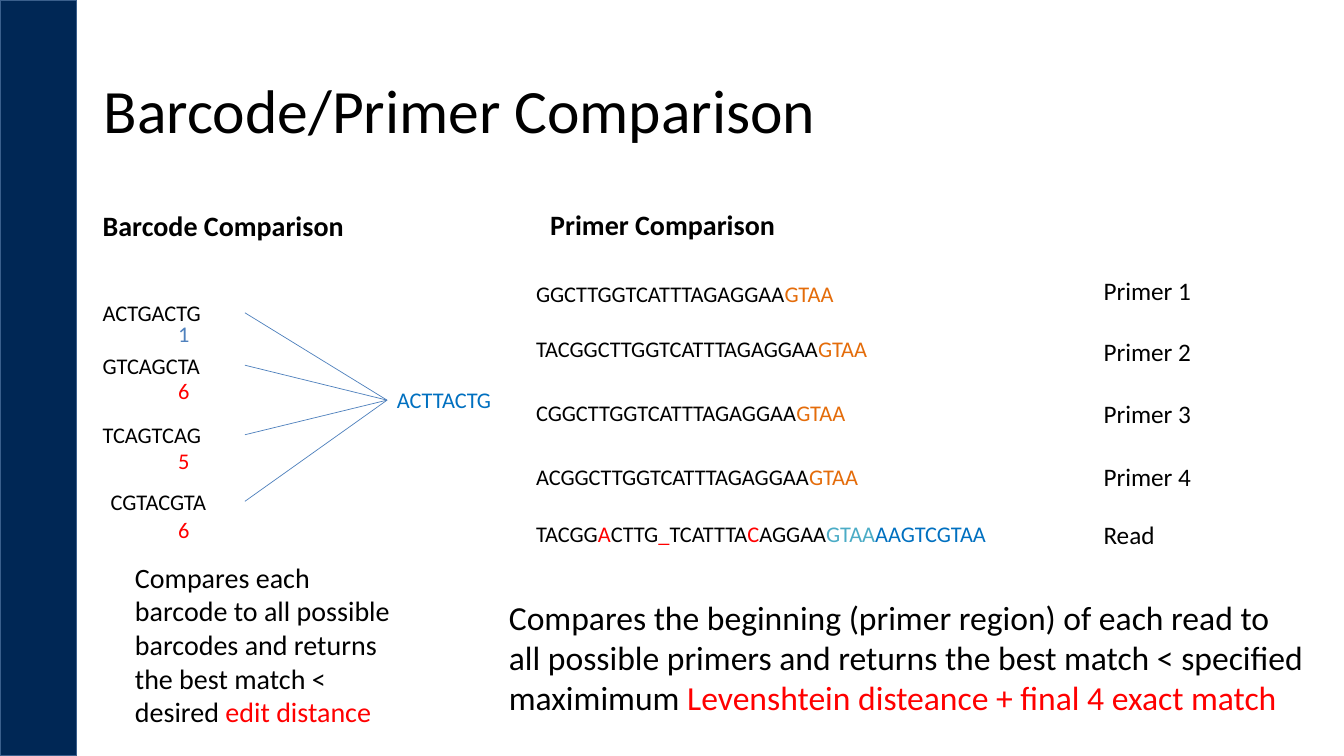
from typing import NamedTuple

from lxml.etree import SubElement
from pptx import Presentation
from pptx.dml.color import RGBColor
from pptx.enum.shapes import MSO_CONNECTOR, MSO_SHAPE
from pptx.enum.text import MSO_ANCHOR, MSO_AUTO_SIZE, PP_ALIGN
from pptx.oxml.ns import qn
from pptx.slide import Slide
from pptx.text.text import TextFrame
from pptx.util import Emu, Inches, Pt

COLUMNS, ROWS = 160, 90
SLIDE_W, SLIDE_H = Inches(13.333), Inches(7.5)
FONT = "Calibri"

BLACK = RGBColor(0x00, 0x00, 0x00)
RED = RGBColor(0xFF, 0x00, 0x00)
BLUE = RGBColor(0x00, 0x70, 0xC0)
STEEL = RGBColor(0x4F, 0x81, 0xBD)
AQUA = RGBColor(0x4B, 0xAC, 0xC6)
ORANGE = RGBColor(0xE4, 0x6C, 0x0A)
NAVY = RGBColor(0x00, 0x27, 0x55)
NAVY_EDGE = RGBColor(0x3A, 0x5F, 0x8C)

HUB_X, HUB_Y = 46.08, 47.64
LINE_X, LINE_DROP = 29.16, 2.2
DISTANCE_X, PRIMER_X, LABEL_X = 20.04, 62.64, 130.2


class Run(NamedTuple):
    text: str
    color: RGBColor = BLACK


class Box(NamedTuple):
    x: float
    y: float
    w: float
    h: float


class Barcode(NamedTuple):
    sequence: str
    x: float
    y: float
    distance: str
    distance_y: float
    color: RGBColor = RED


class Primer(NamedTuple):
    label: str
    label_y: float
    y: float
    w: float
    runs: list[Run]


BARCODES = [
    Barcode("ACTGACTG", 11.04, 35.04, "1", 37.56, STEEL),
    Barcode("GTCAGCTA", 11.04, 41.28, "6", 44.28),
    Barcode("TCAGTCAG", 11.04, 49.56, "5", 52.68),
    Barcode("CGTACGTA", 12, 57.48, "6", 60.84),
]

TAIL = Run("GTAA", ORANGE)
PRIMERS = [
    Primer("Primer 1", 32.16, 32.76, 53.88, [Run("GGCTTGGTCATTTAGAGGAA"), TAIL]),
    Primer("Primer 2", 39.48, 39.36, 57.96, [Run("TACGGCTTGGTCATTTAGAGGAA"), TAIL]),
    Primer("Primer 3", 46.8, 46.92, 62.04, [Run("CGGCTTGGTCATTTAGAGGAA"), TAIL]),
    Primer("Primer 4", 54.36, 54.6, 62.04, [Run("ACGGCTTGGTCATTTAGAGGAA"), TAIL]),
    Primer("Read", 61.2, 61.32, 72.96, [
        Run("TACGG"), Run("A", RED), Run("CTTG"), Run("_", RED),
        Run("TCATTTA"), Run("C", RED), Run("AGGAA"),
        Run("GTAA", AQUA), Run("AAGTCGTAA", BLUE),
    ]),
]


def col(n: float) -> Emu:
    return Emu(round(SLIDE_W * n / COLUMNS))


def row(n: float) -> Emu:
    return Emu(round(SLIDE_H * n / ROWS))


def write(tf: TextFrame, runs: list[Run], *, size: float = 16, bold: bool = False) -> None:
    p = tf.paragraphs[0]
    p.alignment = PP_ALIGN.LEFT
    for text, color in runs:
        r = p.add_run()
        r.text = text
        r.font.name = FONT
        r.font.size = Pt(size)
        r.font.bold = bold
        r.font.color.rgb = color


def add_text(s: Slide, box: Box, runs: list[Run], *, size: float = 16, bold: bool = False) -> None:
    sp = s.shapes.add_textbox(col(box.x), row(box.y), col(box.w), row(box.h))
    tf = sp.text_frame
    tf.word_wrap = True
    tf.auto_size = MSO_AUTO_SIZE.SHAPE_TO_FIT_TEXT
    write(tf, runs, size=size, bold=bold)


def add_bar(s: Slide) -> None:
    sp = s.shapes.add_shape(MSO_SHAPE.RECTANGLE, 0, 0, col(9.12), row(ROWS))
    sp.shadow.inherit = False
    sp.fill.solid()
    sp.fill.fore_color.rgb = NAVY
    sp.line.color.rgb = NAVY_EDGE
    sp.line.width = Pt(1)


def add_title(s: Slide, text: str) -> None:
    sp = s.shapes.title
    sp.left, sp.top, sp.width, sp.height = col(11.16), row(4.8), col(138), row(17.4)
    tf = sp.text_frame
    tf.auto_size = MSO_AUTO_SIZE.NONE
    tf.vertical_anchor = MSO_ANCHOR.MIDDLE
    tf.paragraphs[0].line_spacing = 0.9
    write(tf, [Run(text)], size=44)


def add_line(s: Slide, y: float) -> None:
    cxn = s.shapes.add_connector(
        MSO_CONNECTOR.STRAIGHT, col(LINE_X), row(y), col(HUB_X), row(HUB_Y))
    cxn.line.color.rgb = STEEL
    cxn.line.width = Pt(0.5)
    SubElement(cxn._element.spPr, qn("a:effectLst"))


def add_barcode(s: Slide, b: Barcode) -> None:
    add_text(s, Box(b.x, b.y, 18.24, 4.44), [Run(b.sequence)])
    add_line(s, b.y + LINE_DROP)
    add_text(s, Box(DISTANCE_X, b.distance_y, 3.96, 4.44), [Run(b.distance, b.color)])


def add_primer(s: Slide, primer: Primer) -> None:
    add_text(s, Box(PRIMER_X, primer.y, primer.w, 4.44), primer.runs)
    add_text(s, Box(LABEL_X, primer.label_y, 17.16, 4.8), [Run(primer.label)], size=18)


def main() -> None:
    prs = Presentation()
    prs.slide_width, prs.slide_height = SLIDE_W, SLIDE_H
    s = prs.slides.add_slide(prs.slide_layouts[5])
    add_bar(s)
    add_title(s, "Barcode/Primer Comparison")

    add_text(s, Box(11.04, 24.24, 43.8, 5.28), [Run("Barcode Comparison")], size=20, bold=True)
    for barcode in BARCODES:
        add_barcode(s, barcode)
    add_text(s, Box(HUB_X, 45.36, 18.24, 4.44), [Run("ACTTACTG", BLUE)])
    add_text(s, Box(14.88, 66.12, 33.24, 21.36), [
        Run("Compares each barcode to all possible barcodes and returns "
            "the best match < desired "),
        Run("edit distance", RED),
    ], size=20)

    add_text(s, Box(64.32, 24.12, 50.64, 5.28), [Run("Primer Comparison")], size=20, bold=True)
    for primer in PRIMERS:
        add_primer(s, primer)
    add_text(s, Box(59.4, 70.44, 97.56, 15.72), [
        Run("Compares the beginning (primer region) of each read to all possible "
            "primers and returns the best match < specified maximimum "),
        Run("Levenshtein disteance + final 4 exact match", RED),
    ], size=24)

    prs.save("out.pptx")


if __name__ == "__main__":
    main()
